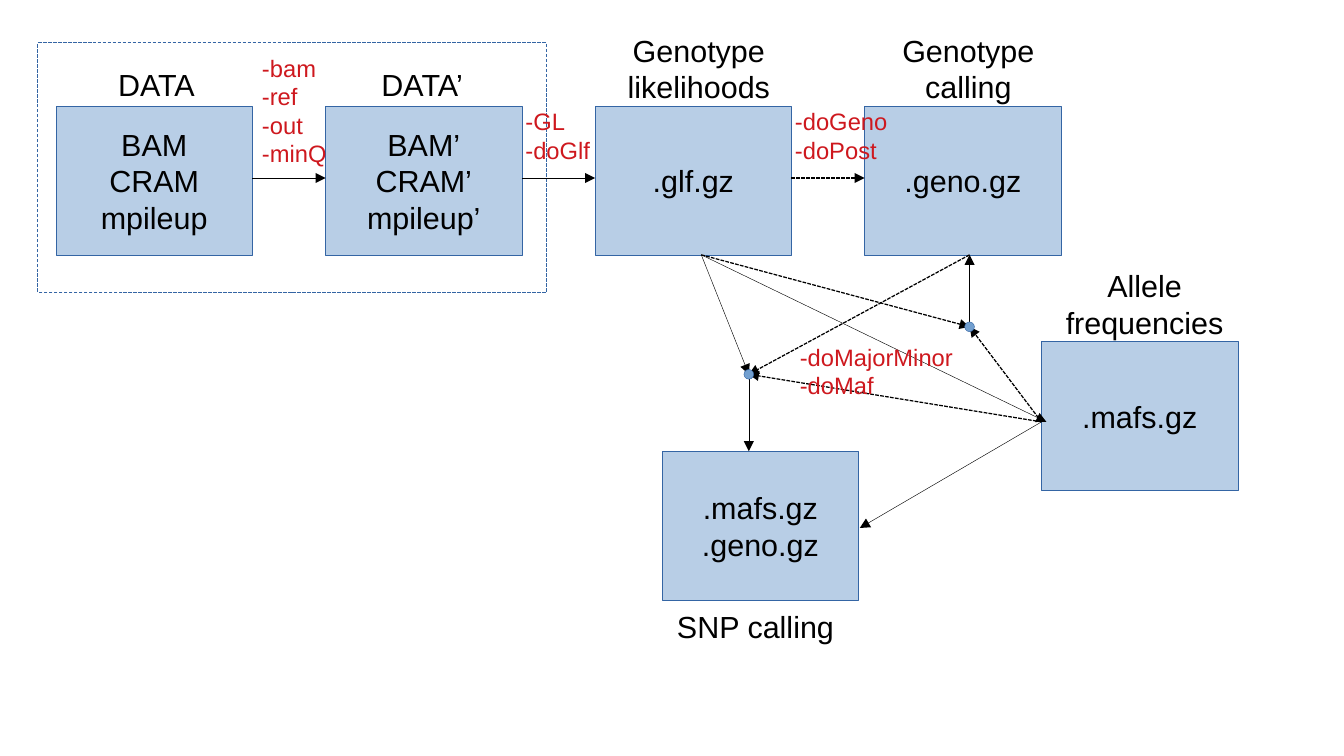
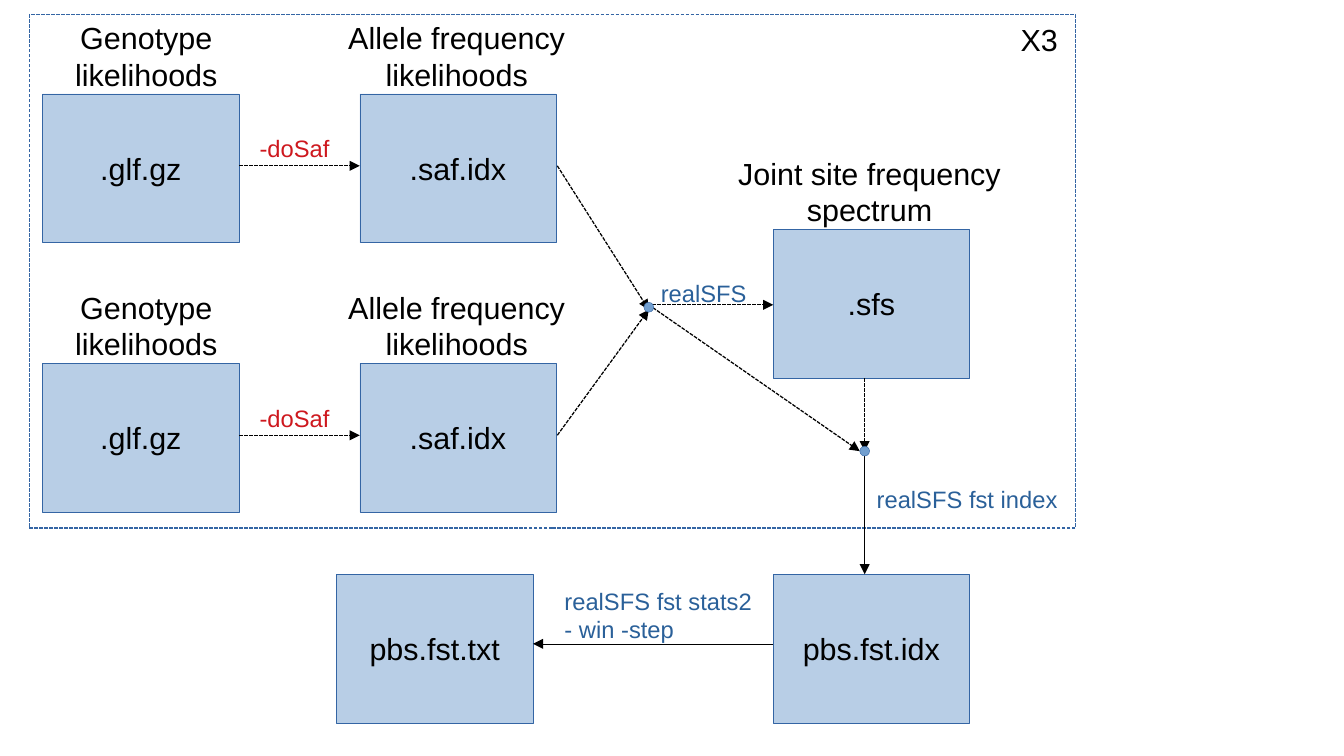
from dataclasses import dataclass

from lxml import etree
from pptx import Presentation
from pptx.dml.color import RGBColor
from pptx.enum.dml import MSO_LINE
from pptx.enum.shapes import MSO_CONNECTOR, MSO_SHAPE
from pptx.enum.text import MSO_ANCHOR, PP_ALIGN
from pptx.oxml.ns import qn
from pptx.util import Inches, Pt

RECTANGLE, ELLIPSE = MSO_SHAPE.RECTANGLE, MSO_SHAPE.OVAL
STRAIGHT = MSO_CONNECTOR.STRAIGHT
DASH = MSO_LINE.SQUARE_DOT
TOP, MIDDLE = MSO_ANCHOR.TOP, MSO_ANCHOR.MIDDLE
LEFT, CENTER = PP_ALIGN.LEFT, PP_ALIGN.CENTER

# Shared style
FONT = "Arial"
FILL, EDGE, BLACK = "729FCF", "3465A4", "000000"
RED, BLUE = "CE181E", "2A6099"
HEADING_SIZE, OPTION_SIZE = 18, 14
SOLID_WIDTH, DASHED_WIDTH = 0.25, 0.75
BOX_WIDTH, BOX_HEIGHT = 1.61, 1.22
ARROW_DROP = 0.59  # from the top of a box to the arrow beside it
LABEL_RISE = 0.66  # from the top of a two-line label to its box
PITCH = 2.21  # between the starts of neighbouring boxes
DOT = 0.08


@dataclass
class Box:
    left: float
    top: float
    lines: list[str]


@dataclass
class Frame:
    left: float
    top: float
    width: float
    height: float


@dataclass
class Label:
    left: float
    top: float
    width: float
    height: float
    lines: list[str]
    color: str = BLACK
    size: int = HEADING_SIZE
    align: PP_ALIGN = CENTER


@dataclass
class Arrow:
    start: tuple[float, float]
    end: tuple[float, float]
    dashed: bool = True


def rgb(color: str) -> RGBColor:
    return RGBColor.from_string(color)


def option(left, top, width, lines, color=RED) -> Label:
    """A command-line option beside an arrow."""
    height = 0.1 + 0.23 * len(lines)
    return Label(left, top, width, height, lines, color, OPTION_SIZE, LEFT)


def heading(box: Box, shift: float, width: float, text: str) -> Label:
    """A two-line label that stands on a box."""
    return Label(box.left + shift, box.top - LABEL_RISE, width, 0.81, [text])


def write(shape, lines, color, size, align, anchor, wrap) -> None:
    frame = shape.text_frame
    frame.word_wrap = wrap
    frame.vertical_anchor = anchor
    for index, line in enumerate(lines):
        paragraph = frame.paragraphs[0] if index == 0 else frame.add_paragraph()
        paragraph.alignment = align
        run = paragraph.add_run()
        run.text = line
        run.font.name = FONT
        run.font.size = Pt(size)
        run.font.color.rgb = rgb(color)


def style_line(line, color: str, dashed: bool = False) -> None:
    line.color.rgb = rgb(color)
    line.width = Pt(DASHED_WIDTH if dashed else SOLID_WIDTH)
    if dashed:
        line.dash_style = DASH


def add_outline(slide, kind, left, top, width, height, dashed=False):
    shape = slide.shapes.add_shape(
        kind, Inches(left), Inches(top), Inches(width), Inches(height))
    shape.shadow.inherit = False
    style_line(shape.line, EDGE, dashed)
    return shape


def fill_shape(shape, color: str, opacity: int = 100) -> None:
    shape.fill.solid()
    shape.fill.fore_color.rgb = rgb(color)
    if opacity < 100:
        solid = shape.fill._xPr.find(qn("a:solidFill"))
        alpha = etree.SubElement(solid[0], qn("a:alpha"))
        alpha.set("val", str(opacity * 1000))


def draw_box(slide, box: Box) -> None:
    shape = add_outline(slide, RECTANGLE, box.left, box.top, BOX_WIDTH, BOX_HEIGHT)
    fill_shape(shape, FILL, 50)
    write(shape, box.lines, BLACK, HEADING_SIZE, CENTER, MIDDLE, False)


def draw_frame(slide, frame: Frame) -> None:
    shape = add_outline(
        slide, RECTANGLE, frame.left, frame.top, frame.width, frame.height, True)
    shape.fill.background()


def draw_dot(slide, center: tuple[float, float]) -> None:
    x, y = center
    fill_shape(add_outline(slide, ELLIPSE, x - DOT / 2, y - DOT / 2, DOT, DOT), FILL)


def draw_arrow(slide, arrow: Arrow) -> None:
    points = [Inches(value) for value in (*arrow.start, *arrow.end)]
    connector = slide.shapes.add_connector(STRAIGHT, *points)
    style_line(connector.line, BLACK, arrow.dashed)
    properties = connector._element.spPr
    head = etree.SubElement(properties.find(qn("a:ln")), qn("a:tailEnd"))
    head.set("type", "triangle")
    etree.SubElement(properties, qn("a:effectLst"))


def draw_label(slide, label: Label) -> None:
    shape = slide.shapes.add_textbox(
        Inches(label.left), Inches(label.top),
        Inches(label.width), Inches(label.height))
    write(shape, label.lines, label.color, label.size, label.align, TOP, True)


def draw_slide(presentation, frame, boxes, arrows, dots, labels) -> None:
    slide = presentation.slides.add_slide(presentation.slide_layouts[6])
    draw_frame(slide, frame)
    for draw, items in ((draw_box, boxes), (draw_arrow, arrows),
                        (draw_dot, dots), (draw_label, labels)):
        for item in items:
            draw(slide, item)


def between(first: Box, second: Box, dashed: bool = True) -> Arrow:
    """A level arrow from the right of one box to the left of the next."""
    y = first.top + ARROW_DROP
    return Arrow((first.left + BOX_WIDTH, y), (second.left, y), dashed)


def build_calling(presentation) -> None:
    # Boxes
    contents = [["BAM", "CRAM", "mpileup"], ["BAM’", "CRAM’", "mpileup’"],
                [".glf.gz"], [".geno.gz"]]
    pipeline = [Box(0.46 + PITCH * column, 0.87, lines)
                for column, lines in enumerate(contents)]
    data, filtered, likelihoods, genotypes = pipeline
    frequencies = Box(8.54, 2.8, [".mafs.gz"])
    snps = Box(5.43, 3.7, [".mafs.gz", ".geno.gz"])

    # Junctions and arrows
    glf_exit, geno_entry, mafs_side = (5.75, 2.09), (7.95, 2.09), (8.54, 3.46)
    geno_dot, snp_dot = (7.95, 2.68), (6.14, 3.07)
    arrows = [
        between(data, filtered, False),
        between(filtered, likelihoods, False),
        between(likelihoods, genotypes),
        Arrow(glf_exit, (8.58, 3.46), False),
        Arrow(glf_exit, geno_dot),
        Arrow(mafs_side, geno_dot),
        Arrow(geno_dot, geno_entry, False),
        Arrow(mafs_side, (7.05, 4.33), False),
        Arrow(glf_exit, snp_dot, False),
        Arrow(mafs_side, snp_dot),
        Arrow(geno_entry, snp_dot),
        Arrow(snp_dot, (6.14, 3.7), False),
    ]

    # Labels
    labels = [
        Label(0.87, 0.49, 1.1, 0.38, ["DATA"], align=LEFT),
        Label(3.03, 0.49, 1.1, 0.38, ["DATA’"], align=LEFT),
        heading(likelihoods, 0.16, 1.38, "Genotype likelihoods"),
        heading(genotypes, 0.16, 1.38, "Genotype calling"),
        heading(frequencies, 0.08, 1.53, "Allele frequencies"),
        Label(5.43, 4.94, 1.53, 0.42, ["SNP calling"]),
        option(2.05, 0.39, 1, ["-bam", "-ref", "-out", "-minQ"]),
        option(4.21, 0.83, 1, ["-GL", "-doGlf"]),
        option(6.42, 0.83, 1.3, ["-doGeno", "-doPost"]),
        option(6.46, 2.76, 1.8, ["-doMajorMinor", "-doMaf"]),
    ]
    draw_slide(presentation, Frame(0.31, 0.35, 4.17, 2.05),
               [*pipeline, frequencies, snps], arrows, [geno_dot, snp_dot], labels)


def build_spectrum(presentation) -> None:
    spectrum = Box(6.34, 1.88, [".sfs"])
    index = Box(6.34, 4.71, ["pbs.fst.idx"])
    result = Box(2.76, 4.71, ["pbs.fst.txt"])
    boxes = [spectrum, index, result]
    join_dot, index_dot = (5.32, 2.52), (7.09, 3.7)
    arrows = [
        Arrow((5.35, 2.5), (6.34, 2.5)),
        Arrow((7.09, 3.1), index_dot),
        Arrow((5.32, 2.5), (7.05, 3.7)),
        Arrow((7.09, 3.74), (7.09, 4.71), False),
        Arrow((6.34, 5.28), (4.37, 5.28), False),
    ]
    labels = [
        heading(spectrum, -0.43, 2.44, "Joint site frequency spectrum"),
        Label(8.27, 0.12, 0.55, 0.39, ["X3"], align=LEFT),
        option(5.32, 2.24, 1.2, ["realSFS"], BLUE),
        option(7.09, 3.93, 2, ["realSFS fst index"], BLUE),
        option(4.53, 4.76, 2, ["realSFS fst stats2", "- win -step"], BLUE),
    ]

    # One row for each population
    for row in range(2):
        top = 0.77 + PITCH * row
        likelihoods = Box(0.35, top, [".glf.gz"])
        frequencies = Box(2.95, top, [".saf.idx"])
        boxes += [likelihoods, frequencies]
        arrows += [between(likelihoods, frequencies),
                   Arrow((4.57, top + ARROW_DROP), (5.32, 2.54))]
        labels += [heading(likelihoods, 0.16, 1.38, "Genotype likelihoods"),
                   heading(frequencies, -0.27, 2.13, "Allele frequency likelihoods"),
                   option(2.03, top + 0.28, 1, ["-doSaf"])]
    draw_slide(presentation, Frame(0.24, 0.12, 8.58, 4.21),
               boxes, arrows, [join_dot, index_dot], labels)


def main() -> None:
    presentation = Presentation()
    presentation.slide_width = Inches(11.02)
    presentation.slide_height = Inches(6.2)
    build_calling(presentation)
    build_spectrum(presentation)
    presentation.save("out.pptx")


if __name__ == "__main__":
    main()
